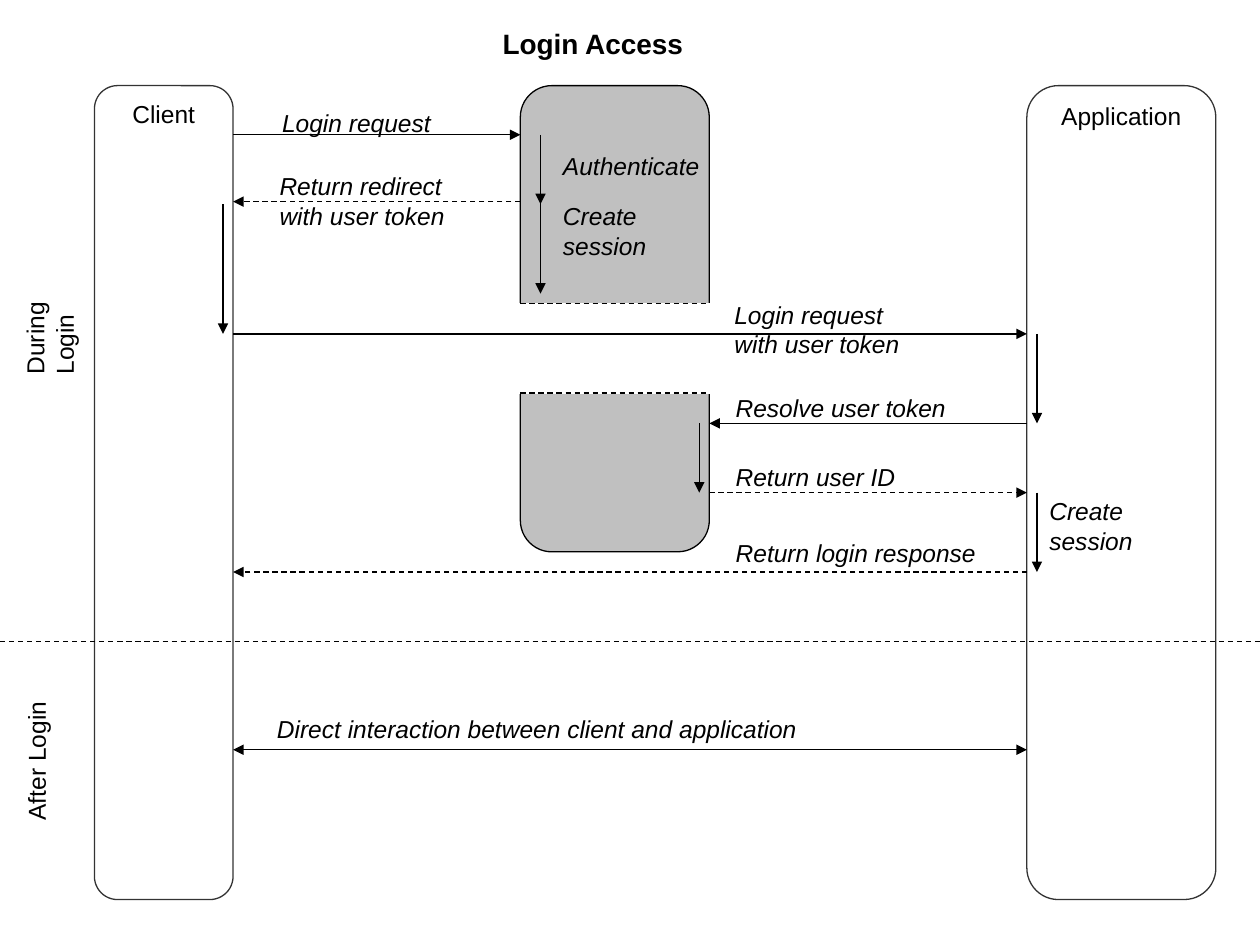
from lxml.etree import SubElement
from pptx import Presentation
from pptx.dml.color import RGBColor
from pptx.enum.dml import MSO_LINE
from pptx.enum.shapes import MSO_CONNECTOR, MSO_SHAPE
from pptx.enum.text import MSO_ANCHOR, MSO_AUTO_SIZE, PP_ALIGN
from pptx.oxml.ns import qn
from pptx.util import Inches, Pt


def colour(value):
    return RGBColor.from_string(value)


def write(frame, text, size=14, bold=False, italic=False, ink="000000",
          font="Arial", align=PP_ALIGN.LEFT, anchor=MSO_ANCHOR.TOP, wrap=False):
    """Fill a text frame, one paragraph for each line of text."""
    frame.text = text
    frame.word_wrap = wrap
    frame.vertical_anchor = anchor
    for para in frame.paragraphs:
        para.alignment = align
        for span in para.runs:
            span.font.name = font
            span.font.size = Pt(size)
            span.font.bold = bold
            span.font.italic = italic
            span.font.color.rgb = colour(ink)


class SequenceDiagram:
    ink = "000000"
    line_width = Pt(0.75)

    def __init__(self, page):
        self.page = page

    def box(self, left, top, width, height, fill, line, text="",
            kind=MSO_SHAPE.ROUNDED_RECTANGLE):
        shape = self.page.shapes.add_shape(
            kind, Inches(left), Inches(top), Inches(width), Inches(height))
        shape.shadow.inherit = False
        shape.fill.solid()
        shape.fill.fore_color.rgb = colour(fill)
        shape.line.color.rgb = colour(line)
        shape.line.width = self.line_width
        if text:
            write(shape.text_frame, text, align=PP_ALIGN.CENTER)

    def label(self, text, left, top, width, height=0.34, rotation=0, **style):
        box = self.page.shapes.add_textbox(
            Inches(left), Inches(top), Inches(width), Inches(height))
        box.rotation = rotation
        write(box.text_frame, text, **style)
        box.text_frame.auto_size = MSO_AUTO_SIZE.SHAPE_TO_FIT_TEXT

    def line(self, x1, y1, x2, y2, dashed=False, ends=()):
        connector = self.page.shapes.add_connector(
            MSO_CONNECTOR.STRAIGHT, Inches(x1), Inches(y1), Inches(x2), Inches(y2))
        connector.line.color.rgb = colour(self.ink)
        connector.line.width = self.line_width
        if dashed:
            connector.line.dash_style = MSO_LINE.DASH
        properties = connector._element.spPr
        outline = properties.find(qn("a:ln"))
        for end in ends:
            SubElement(outline, qn(f"a:{end}"), type="triangle")
        SubElement(properties, qn("a:effectLst"))

    def message(self, start, end, y, dashed=False, both_ways=False):
        ends = ("headEnd", "tailEnd") if both_ways else ("tailEnd",)
        self.line(start, y, end, y, dashed, ends)

    def activity(self, x, top, bottom):
        self.line(x, top, x, bottom, ends=("tailEnd",))


def main():
    deck = Presentation()
    deck.slide_width, deck.slide_height = Inches(10), Inches(7.5)
    page = deck.slides.add_slide(deck.slide_layouts[6])
    diagram = SequenceDiagram(page)

    # Edges of the lifelines that messages run between
    client, access_left, access_right, application = 1.85, 4.13, 5.63, 8.15
    top, height = 0.68, 6.46
    gap_top, gap_bottom = 2.41, 3.12

    # Lifelines, with a gap in the login access one
    diagram.box(access_left, top, 1.5, 3.7, "C0C0C0", "000000")
    diagram.box(application, top, 1.5, height, "FFFFFF", "333333", "Application")
    diagram.box(0.75, top, 1.1, height, "FFFFFF", "333333", "Client")
    diagram.box(4.06, gap_top, 1.65, gap_bottom - gap_top, "FFFFFF", "FFFFFF",
                kind=MSO_SHAPE.RECTANGLE)
    for y in (gap_top, gap_bottom):
        diagram.line(access_left, y, access_right, y, dashed=True)

    # Title and phases
    diagram.label("Login Access", 3.51, 0.16, 2.39, 0.37, size=16, bold=True,
                  align=PP_ALIGN.CENTER, anchor=MSO_ANCHOR.MIDDLE)
    diagram.label("During Login", -0.37, 2.25, 1.3, rotation=270)
    diagram.label("After Login", -0.28, 5.87, 1.14, rotation=270)
    diagram.line(0, 5.09, 10, 5.09, dashed=True)

    # Messages: start, end, height, dashed
    for start, end, y, dashed in (
        (client, access_left, 1.07, False),
        (access_left, client, 1.6, True),
        (client, application, 2.65, False),
        (application, access_right, 3.36, False),
        (access_right, application, 3.91, True),
        (application, client, 4.54, True),
    ):
        diagram.message(start, end, y, dashed)
    diagram.message(client, application, 5.95, both_ways=True)

    # Activities: x, top, bottom
    for x, start, end in (
        (4.29, 1.07, 1.62), (4.29, 1.55, 2.33), (1.77, 1.62, 2.65),
        (8.23, 2.65, 3.36), (5.55, 3.36, 3.91), (8.23, 3.91, 4.54),
    ):
        diagram.activity(x, start, end)

    # Message labels: text, left, top, width, height
    for text, left, y, width, tall in (
        ("Login request", 2.14, 0.81, 1.38, 0.34),
        ("Return redirect\nwith user token", 2.12, 1.31, 1.51, 0.57),
        ("Login request\nwith user token", 5.73, 2.33, 1.51, 0.57),
        ("Resolve user token", 5.74, 3.07, 1.87, 0.34),
        ("Return user ID", 5.74, 3.62, 1.47, 0.34),
        ("Return login response", 5.74, 4.22, 2.11, 0.34),
        ("Direct interaction between client and application", 2.1, 5.62, 4.33, 0.34),
    ):
        diagram.label(text, left, y, width, tall, italic=True)

    # Activity labels
    for text, left, y, width, tall in (
        ("Authenticate", 4.37, 1.15, 1.57, 0.34),
        ("Create\nsession", 4.37, 1.55, 1.57, 0.57),
        ("Create\nsession", 8.23, 3.89, 1.36, 0.57),
    ):
        diagram.label(text, left, y, width, tall, italic=True, wrap=True)

    deck.save("out.pptx")


if __name__ == "__main__":
    main()
